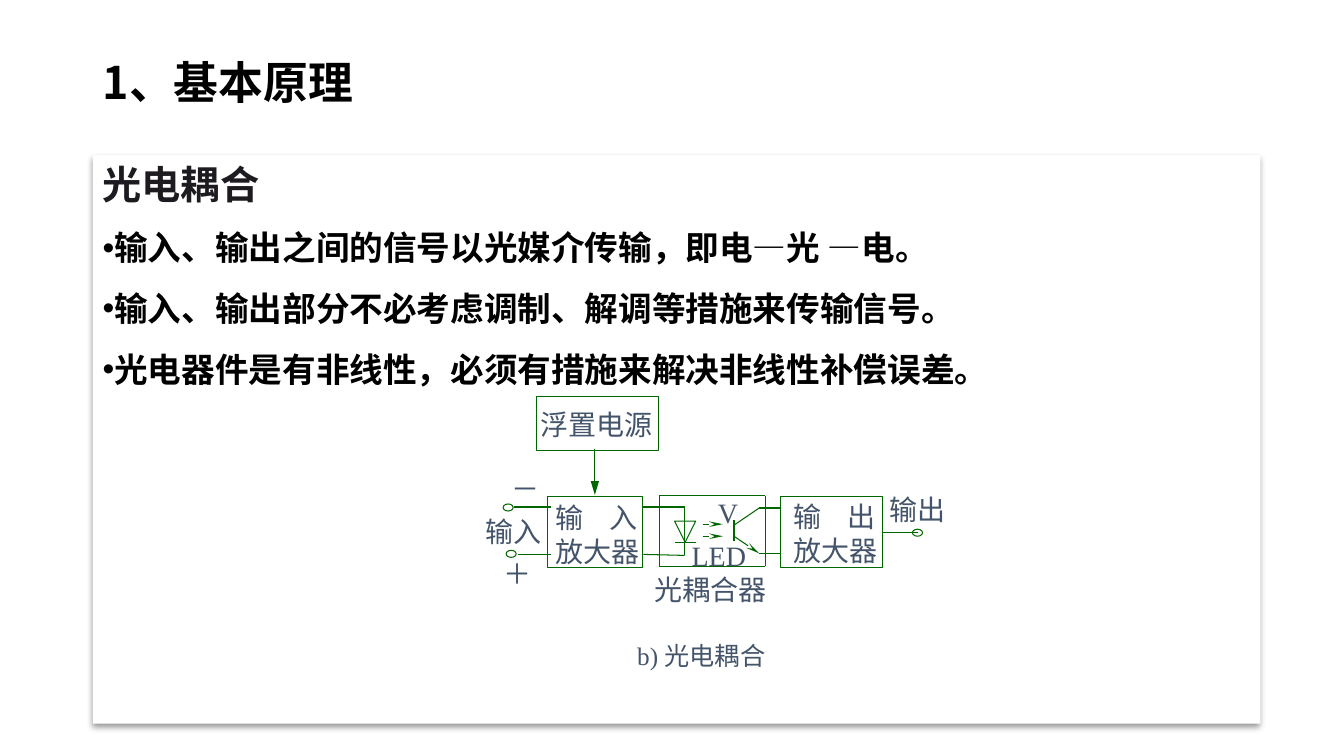
from lxml.etree import SubElement
from pptx import Presentation
from pptx.dml.color import RGBColor
from pptx.enum.shapes import MSO_CONNECTOR, MSO_SHAPE
from pptx.enum.text import MSO_ANCHOR, PP_ALIGN
from pptx.oxml.ns import qn
from pptx.util import Inches, Pt

COLORS = {"panel": "FFFFFF", "title": "000000", "heading": "1D1B1F",
          "label": "44546A", "wire": "006600", "shadow": "000000"}
SANS, SERIF = "Noto Sans CJK SC", "Times New Roman"

TITLE = "1、基本原理"
HEADING = "光电耦合"
DASH = "—"
BULLETS = [
    ["输入、输出之间的信号以光媒介传输，即电", DASH, "光 ", DASH, "电。"],
    ["输入、输出部分不必考虑调制、解调等措施来传输信号。"],
    ["光电器件是有非线性，必须有措施来解决非线性补偿误差。"],
]

FRAMES = [(5.32, 3.93, 1.21, 0.54), (5.43, 4.93, 0.94, 0.7), (7.74, 4.93, 1.01, 0.7)]
TERMINALS = [(4.99, 5), (5.02, 5.46), (9.05, 5.25)]
DIODE = (6.69, 5.17, 0.21, 0.21)
COUPLER = [(6.54, 4.92), (7.59, 4.92), (7.59, 5.62), (6.54, 5.62)]
WIRES = [
    (5.1, 5.03, 5.47, 5.03), (5.14, 5.5, 5.47, 5.5), (8.75, 5.28, 9.1, 5.28),
    (6.37, 5.03, 6.79, 5.03), (6.79, 5.03, 6.79, 5.51), (6.38, 5.5, 6.79, 5.51),
    (6.9, 5.38, 6.69, 5.38), (7.28, 5.37, 7.28, 5.16), (7.28, 5.21, 7.53, 5.04),
    (7.53, 5.04, 7.75, 5.04), (7.53, 5.49, 7.75, 5.49),
]
ARROWS = [
    (5.9, 4.45, 5.9, 4.91, "triangle", "med"), (7.28, 5.32, 7.53, 5.49, "stealth", "sm"),
    (6.97, 5.2, 7.17, 5.2, "stealth", "sm"), (6.97, 5.32, 7.17, 5.32, "stealth", "sm"),
]
LABELS = [
    (6.32, 6.35, 1.75, 0.41, ["b) 光电耦合"], 18, SERIF),
    (5.36, 4.04, 1.17, 0.31, ["浮置电源"], 20, SERIF),
    (6.49, 5.68, 1.14, 0.33, ["光耦合器"], 20, SERIF),
    (5.51, 4.97, 0.92, 0.64, ["输\t入", "放大器"], 20, SERIF),
    (7.87, 4.96, 0.87, 0.51, ["输\t出", "放大器"], 20, SERIF),
    (5.07, 4.68, 0.24, 0.29, ["－"], 20, SANS),
    (4.99, 5.52, 0.26, 0.26, ["＋"], 20, SANS),
    (8.82, 4.89, 0.6, 0.29, ["输出"], 20, SERIF),
    (4.82, 5.1, 0.66, 0.28, ["输入"], 20, SERIF),
    (6.86, 5.34, 0.55, 0.3, ["LED"], 20, SERIF),
    (7.12, 4.92, 0.2, 0.28, ["V"], 20, SERIF),
]


def color(name):
    return RGBColor.from_string(COLORS[name])


def add_text_box(page, left, top, width, height, margin=None):
    box = page.shapes.add_textbox(Inches(left), Inches(top), Inches(width), Inches(height))
    frame = box.text_frame
    frame.word_wrap = True
    if margin is not None:
        frame.margin_left = frame.margin_right = Inches(margin)
        frame.margin_top = frame.margin_bottom = Inches(margin)
    return frame


def add_span(para, text, size, font, tone, bold=False):
    span = para.add_run()
    span.text = text
    span.font.size = Pt(size)
    span.font.name = font
    span.font.bold = bold
    span.font.color.rgb = color(tone)
    SubElement(span.font._element, qn("a:ea"), typeface=SANS)


def add_outline(page, kind, left, top, width, height):
    shape = page.shapes.add_shape(kind, Inches(left), Inches(top), Inches(width), Inches(height))
    shape.shadow.inherit = False
    shape.fill.background()
    shape.line.color.rgb = color("wire")
    shape.line.width = Pt(0.75)
    return shape


def add_wire(page, x1, y1, x2, y2, head=None, breadth="med"):
    wire = page.shapes.add_connector(MSO_CONNECTOR.STRAIGHT, Inches(x1), Inches(y1),
                                     Inches(x2), Inches(y2))
    wire.line.color.rgb = color("wire")
    wire.line.width = Pt(0.75)
    properties = wire._element.spPr
    if head:
        SubElement(properties.find(qn("a:ln")), qn("a:tailEnd"), type=head, w=breadth, len="lg")
    SubElement(properties, qn("a:effectLst"))


def add_panel(page):
    panel = add_outline(page, MSO_SHAPE.RECTANGLE, 0.92, 1.54, 11.58, 5.64)
    panel.fill.solid()
    panel.fill.fore_color.rgb = color("panel")
    panel.line.fill.background()
    effects = panel._element.spPr.find(qn("a:effectLst"))
    shadow = SubElement(effects, qn("a:outerShdw"), blurRad=str(Pt(4)), dist=str(Pt(3)),
                        dir="5400000", algn="t", rotWithShape="0")
    tone = SubElement(shadow, qn("a:srgbClr"), val=COLORS["shadow"])
    SubElement(tone, qn("a:alpha"), val="40000")


def add_body(page):
    frame = add_text_box(page, 0.92, 1.31, 11.5, 5.44)
    para = frame.paragraphs[0]
    para.line_spacing = Pt(50)
    add_span(para, HEADING, 28, SANS, "heading", True)
    for pieces in BULLETS:
        para = frame.add_paragraph()
        para.line_spacing = Pt(43.3)
        properties = para._p.get_or_add_pPr()
        properties.set("marL", str(Inches(0.11)))
        properties.set("indent", str(-Inches(0.11)))
        SubElement(properties, qn("a:buFont"), typeface="Arial")
        SubElement(properties, qn("a:buChar"), char="•")
        for piece in pieces:
            is_dash = piece == DASH
            add_span(para, piece, 24, SERIF if is_dash else SANS, "title", not is_dash)


def add_label(page, left, top, width, height, lines, size, font):
    frame = add_text_box(page, left, top, width, height, 0)
    for index, text in enumerate(lines):
        para = frame.add_paragraph() if index else frame.paragraphs[0]
        para.alignment = PP_ALIGN.JUSTIFY
        if "\t" in text:
            tabs = SubElement(para._p.get_or_add_pPr(), qn("a:tabLst"))
            SubElement(tabs, qn("a:tab"), pos=str(Inches(0.54)), algn="l")
        add_span(para, text, size, font, "label")


def main():
    """Build the slide on the principle of optical coupling."""
    deck = Presentation()
    deck.slide_width, deck.slide_height = Inches(13.33), Inches(7.5)
    page = deck.slides.add_slide(deck.slide_layouts[6])
    add_panel(page)
    title = add_text_box(page, 0.92, 0.52, 11.5, 0.65)
    title.vertical_anchor = MSO_ANCHOR.MIDDLE
    title.paragraphs[0].line_spacing = 0.9
    add_span(title.paragraphs[0], TITLE, 32, SANS, "title", True)
    add_body(page)
    for frame in FRAMES:
        add_outline(page, MSO_SHAPE.RECTANGLE, *frame)
    for left, top in TERMINALS:
        add_outline(page, MSO_SHAPE.OVAL, left, top, 0.1, 0.07)
    add_outline(page, MSO_SHAPE.ISOSCELES_TRIANGLE, *DIODE).rotation = 180
    for start, end in zip(COUPLER, COUPLER[1:] + COUPLER[:1]):
        add_wire(page, *start, *end)
    for wire in WIRES + ARROWS:
        add_wire(page, *wire)
    for label in LABELS:
        add_label(page, *label)
    deck.save("out.pptx")


if __name__ == "__main__":
    main()
